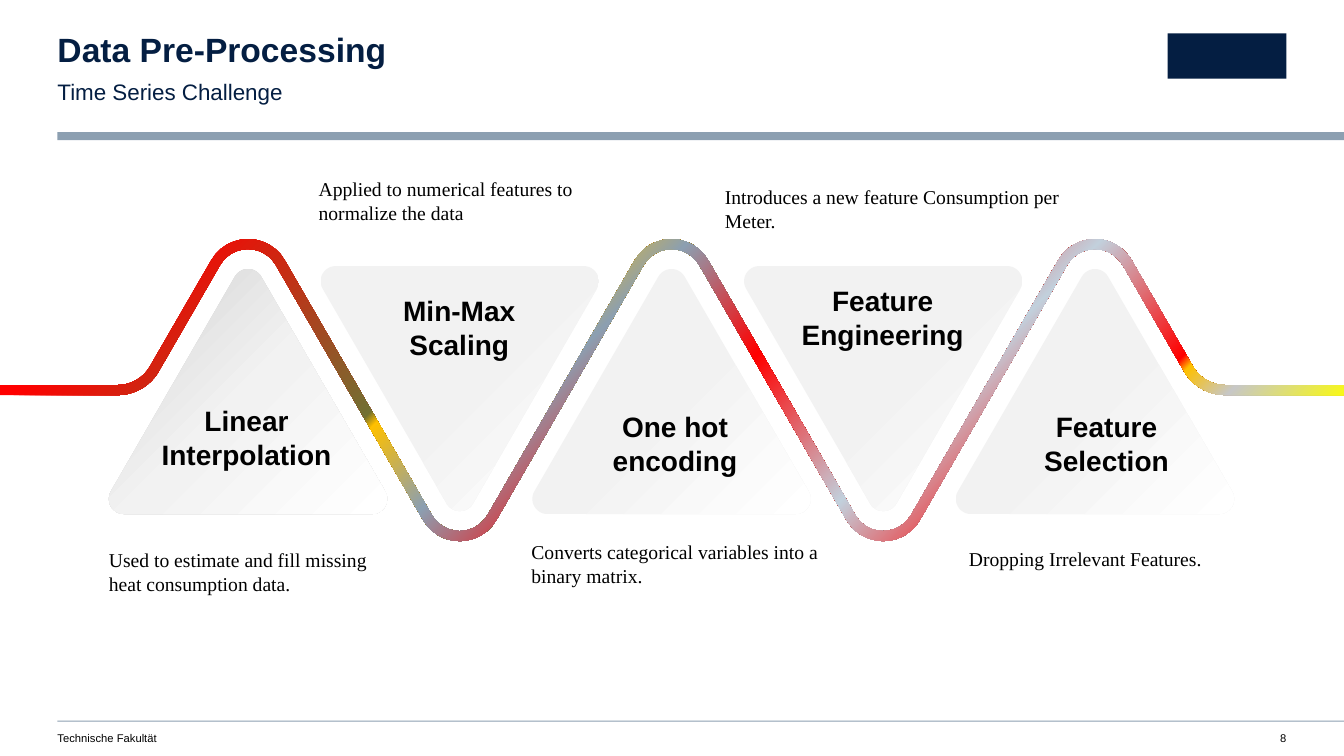
from dataclasses import dataclass
from math import atan2, cos, hypot, pi, sin, sqrt, tan

from lxml.etree import SubElement
from pptx import Presentation
from pptx.dml.color import RGBColor
from pptx.enum.shapes import MSO_SHAPE
from pptx.enum.text import MSO_ANCHOR, MSO_AUTO_SIZE, PP_ALIGN
from pptx.oxml.ns import qn
from pptx.util import Inches, Pt


@dataclass(frozen=True)
class Theme:
    navy: str = "041E42"
    slate: str = "8C9FB1"
    black: str = "000000"
    sans: str = "Arial"
    serif: str = "Times New Roman"
    title: int = 24
    subtitle: int = 16
    label: int = 20
    caption: int = 14
    footer: int = 8
    ribbon: tuple = ((10, "FF0000"), (33, "727033"), (34, "FFC000"), (42, "8C9FB1"),
                     (53, "FF0000"), (67, "C2D0DC"), (79, "FF0000"), (80, "FFC000"),
                     (84, "C7C7C7"), (92, "FFFF00"))
    tile: tuple = ((50, "F2F2F2"), (100, "FFFFFF"))
    first_tile: tuple = ((12, "D9D9D9"), (50, "F2F2F2"), (100, "FFFFFF"))


THEME = Theme()
PAGE_WIDTH, PAGE_HEIGHT = 13.33, 7.5
MARGIN = 0.57
PITCH = 2.1
STEPS = [
    ("Linear Interpolation", (1.5, 3.95),
     "Used to estimate and fill missing heat consumption data.", (1.08, 5.39, 2.77, 0.57)),
    ("Min-Max Scaling", (3.61, 2.86),
     "Applied to numerical features to normalize the data", (3.16, 1.71, 3.28, 0.57)),
    ("One hot encoding", (5.75, 4.01),
     "Converts categorical variables into a binary matrix.", (5.27, 5.31, 2.95, 0.57)),
    ("Feature Engineering", (7.81, 2.76),
     "Introduces a new feature Consumption per Meter.", (7.19, 1.79, 3.36, 0.57)),
    ("Feature Selection", (10.03, 4.01),
     "Dropping Irrelevant Features.", (9.61, 5.38, 3.67, 0.34)),
]


def write(shape, text, size, font, color=THEME.black, bold=False, align=PP_ALIGN.LEFT,
          anchor=MSO_ANCHOR.TOP, inset=0, wrap=True):
    frame = shape.text_frame
    frame.auto_size = MSO_AUTO_SIZE.NONE
    frame.word_wrap = wrap
    frame.vertical_anchor = anchor
    frame.margin_left = frame.margin_right = 0
    frame.margin_top = frame.margin_bottom = Inches(inset)
    para = frame.paragraphs[0]
    para.alignment = align
    para.space_before = Pt(0)
    span = para.add_run()
    span.text = text
    span.font.size = Pt(size)
    span.font.name = font
    span.font.bold = bold
    span.font.color.rgb = RGBColor.from_string(color)
    return para


def add_text(page, box, text, size, font, **style):
    shape = page.shapes.add_textbox(*map(Inches, box))
    return write(shape, text, size, font, **style)


def add_bar(page, box, color):
    bar = page.shapes.add_shape(MSO_SHAPE.RECTANGLE, *map(Inches, box))
    bar.shadow.inherit = False
    bar.fill.solid()
    bar.fill.fore_color.rgb = RGBColor.from_string(color)
    bar.line.fill.background()


def rounded_corner(before, corner, after, radius, offset=0, pieces=12):
    start = atan2(corner[1] - before[1], corner[0] - before[0])
    end = atan2(after[1] - corner[1], after[0] - corner[0])
    turn = (end - start + pi) % (2 * pi) - pi
    side = 1 if turn > 0 else -1
    reach = radius * tan(abs(turn) / 2)
    center_x = corner[0] - reach * cos(start) - side * radius * sin(start)
    center_y = corner[1] - reach * sin(start) + side * radius * cos(start)
    distance = offset - side * radius
    angles = [start + turn * i / pieces for i in range(pieces + 1)]
    return [(center_x - distance * sin(a), center_y + distance * cos(a)) for a in angles]


def add_outline(page, points, stops):
    builder = page.shapes.build_freeform(
        Inches(points[0][0]), Inches(points[0][1]), scale=1.0)
    builder.add_line_segments([(Inches(x), Inches(y)) for x, y in points[1:]], close=True)
    shape = builder.convert_to_shape()
    shape.shadow.inherit = False
    shape.line.fill.background()
    shape.fill.gradient()
    shape.fill.gradient_angle = 315
    stop_list = shape.element.spPr.find(qn("a:gradFill")).find(qn("a:gsLst"))
    for stop in list(stop_list):
        stop_list.remove(stop)
    for percent, color in stops:
        stop = SubElement(stop_list, qn("a:gs"), pos=str(percent * 1000))
        SubElement(stop, qn("a:srgbClr"), val=color)


def add_ribbon(page, box, first_peak, thickness=0.1, bend=0.37, end_bend=0.42):
    left, top, width, height = box
    middle = top + height / 2
    rise = PITCH * sqrt(3) / 2
    last_peak = first_peak + PITCH * (len(STEPS) - 1)
    turns = [(first_peak + PITCH * i, middle + (rise if i % 2 else -rise))
             for i in range(len(STEPS))]
    route = [(left, middle), (first_peak - PITCH / 2, middle), *turns,
             (last_peak + PITCH / 2, middle), (left + width, middle)]
    radii = [end_bend] + [bend] * len(STEPS) + [end_bend]

    def edge(offset):
        points = [(left, middle + offset)]
        for before, corner, after, radius in zip(route, route[1:], route[2:], radii):
            points += rounded_corner(before, corner, after, radius, offset)
        return points + [(left + width, middle + offset)]

    add_outline(page, edge(-thickness / 2) + edge(thickness / 2)[::-1], THEME.ribbon)


def add_tile(page, center, base, direction, stops, half=1.49, radius=0.15):
    tip = base - direction * half * sqrt(3)
    corners = [(center - half, base), (center, tip), (center + half, base)]
    points = []
    for i, corner in enumerate(corners):
        points += rounded_corner(corners[i - 1], corner, corners[(i + 1) % 3], radius)
    add_outline(page, points, stops)


def add_header(page, box):
    left, top, width, height = box
    title, body = page.shapes.title, page.placeholders[1]
    for holder, y, tall in ((title, top, 0.36), (body, top + 0.42, 0.27)):
        holder.left, holder.top = Inches(left), Inches(y)
        holder.width, holder.height = Inches(7.49), Inches(tall)
    para = write(title, "Data Pre-Processing", THEME.title, THEME.sans, THEME.navy, bold=True)
    para.line_spacing = 0.9
    para = write(body, "Time Series Challenge", THEME.subtitle, THEME.sans, THEME.navy)
    para.line_spacing = 1.1
    properties = para._p.get_or_add_pPr()
    properties.set("marL", "0")
    properties.set("indent", "0")
    SubElement(properties, qn("a:buNone"))
    add_bar(page, (left + width - 1.75, top, 1.18, 0.45), THEME.navy)
    add_bar(page, (left, top + height - 0.08, width, 0.08), THEME.slate)


def add_footer(page, box):
    left, top, width, height = box
    add_bar(page, (left, top, width, 0.01), THEME.slate)
    add_text(page, (left, top + 0.11, 5.98, 0.13), "Technische Fakultät",
             THEME.footer, THEME.sans)
    add_text(page, (left + width - 0.78, top + 0.11, 0.21, 0.13), "8",
             THEME.footer, THEME.sans, align=PP_ALIGN.RIGHT, wrap=False)


def add_zigzag(page, box):
    left, top, width, height = box
    first_peak = left + 2.46
    add_ribbon(page, box, first_peak)
    for i, (label, spot, caption, caption_box) in enumerate(STEPS):
        base, direction = (top + 0.26, -1) if i % 2 else (top + 2.72, 1)
        add_tile(page, first_peak + PITCH * i, base, direction,
                 THEME.tile if i else THEME.first_tile)
        add_text(page, caption_box, caption, THEME.caption, THEME.serif, inset=0.05)
        add_text(page, (*spot, 1.89, 0.77), label, THEME.label, THEME.sans, bold=True,
                 align=PP_ALIGN.CENTER, anchor=MSO_ANCHOR.BOTTOM, inset=0.05)


def main():
    deck = Presentation()
    deck.slide_width, deck.slide_height = Inches(PAGE_WIDTH), Inches(PAGE_HEIGHT)
    page = deck.slides.add_slide(deck.slide_layouts[1])
    add_header(page, (MARGIN, 0.33, PAGE_WIDTH - MARGIN, 1.06))
    add_zigzag(page, (0, 2.38, PAGE_WIDTH, 2.98))
    add_footer(page, (MARGIN, 7.15, PAGE_WIDTH - MARGIN, 0.24))
    deck.save("out.pptx")


if __name__ == "__main__":
    main()
